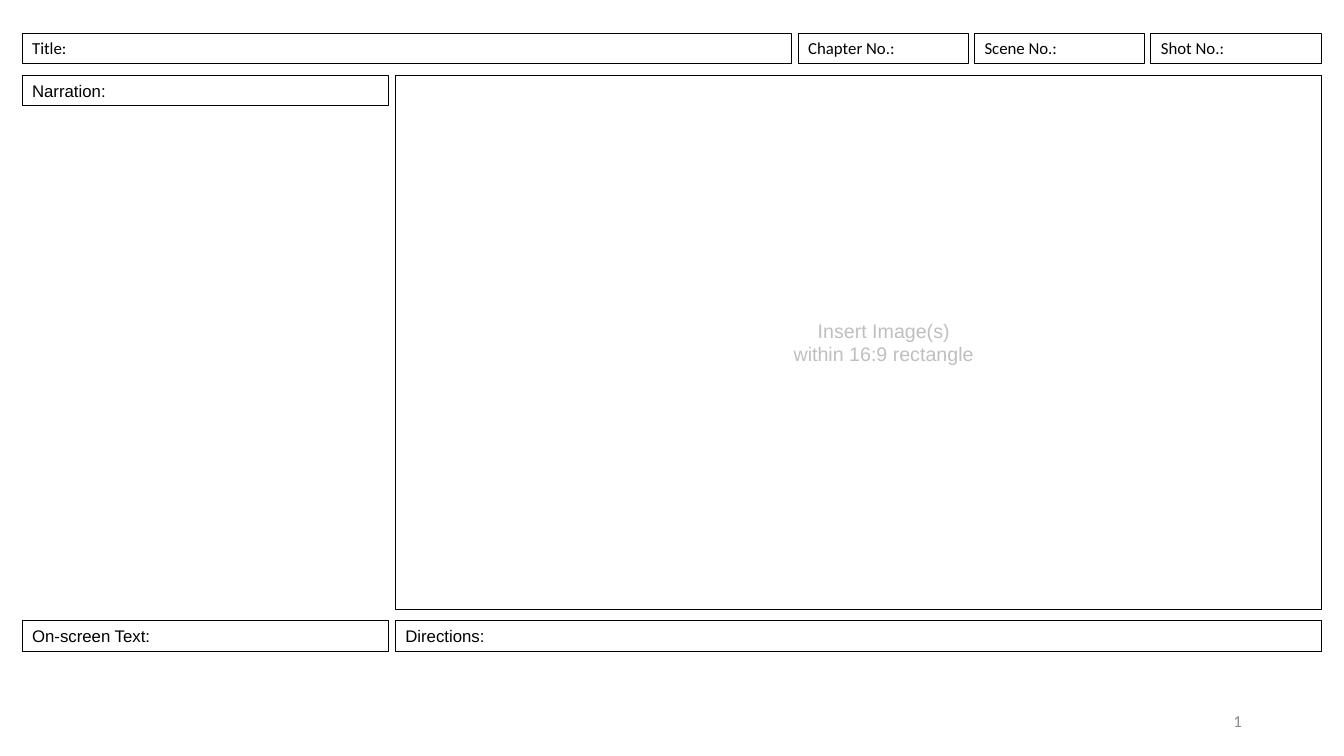
from dataclasses import dataclass

from pptx import Presentation
from pptx import util as u
from pptx.dml.color import RGBColor
from pptx.enum import shapes, text


@dataclass(frozen=True)
class Theme:
    ink: RGBColor = RGBColor(0x00, 0x00, 0x00)
    hint: RGBColor = RGBColor(0xBF, 0xBF, 0xBF)
    number: RGBColor = RGBColor(0x8C, 0x8C, 0x8C)
    head_font: str = "Calibri"
    body_font: str = "Arial"
    label_size: int = 12
    hint_size: int = 14
    border: float = 0.75


@dataclass(frozen=True)
class Area:
    """A rectangle in percent of the slide's width and height."""
    left: float
    top: float
    width: float
    height: float


@dataclass(frozen=True)
class Field:
    label: str
    area: Area
    font: str


@dataclass(frozen=True)
class Note:
    lines: tuple[str, ...]
    area: Area
    font: str
    size: int
    color: RGBColor
    align: text.PP_ALIGN
    anchor: text.MSO_ANCHOR
    grows: bool


THEME = Theme()
WIDTH, HEIGHT = u.Inches(13.333), u.Inches(7.5)

# Columns, in percent of the width
LEFT, RIGHT = 1.65, 98.3
SIDE_WIDTH = 27.23
MAIN_LEFT = 29.42
MAIN_WIDTH = RIGHT - MAIN_LEFT
NUMBER_LEFT, NUMBER_WIDTH, NUMBER_STEP = 59.4, 12.68, 13.12

# Rows, in percent of the height
HEAD_TOP, BODY_TOP, FOOT_TOP = 4.4, 10, 82.13
BAR_HEIGHT = 4
FRAME_HEIGHT = 70.67

FRAME = Area(MAIN_LEFT, BODY_TOP, MAIN_WIDTH, FRAME_HEIGHT)

FIELDS = [
    Field("Title:", Area(LEFT, HEAD_TOP, 57.24, BAR_HEIGHT), THEME.head_font),
    *(Field(label,
            Area(NUMBER_LEFT + i * NUMBER_STEP, HEAD_TOP, NUMBER_WIDTH, BAR_HEIGHT),
            THEME.head_font)
      for i, label in enumerate(("Chapter No.:", "Scene No.:", "Shot No.:"))),
    Field("Narration:", Area(LEFT, BODY_TOP, SIDE_WIDTH, BAR_HEIGHT), THEME.body_font),
    Field("On-screen Text:", Area(LEFT, FOOT_TOP, SIDE_WIDTH, BAR_HEIGHT), THEME.body_font),
    Field("Directions:", Area(MAIN_LEFT, FOOT_TOP, MAIN_WIDTH, BAR_HEIGHT), THEME.body_font),
]

NOTES = [
    Note(("Insert Image(s)", "within 16:9 rectangle"), Area(57.69, 41.47, 16.13, 7.6),
         THEME.body_font, THEME.hint_size, THEME.hint,
         text.PP_ALIGN.CENTER, text.MSO_ANCHOR.TOP, True),
    Note(("1",), Area(70.65, 92.67, 22.5, 5.33),
         THEME.head_font, THEME.label_size, THEME.number,
         text.PP_ALIGN.RIGHT, text.MSO_ANCHOR.MIDDLE, False),
]


def place(area: Area) -> tuple[int, int, int, int]:
    """Turn an area into left, top, width and height on the slide."""
    return (round(WIDTH * area.left / 100), round(HEIGHT * area.top / 100),
            round(WIDTH * area.width / 100), round(HEIGHT * area.height / 100))


def write(box, note: Note) -> None:
    frame = box.text_frame
    frame.text = "\n".join(note.lines)
    frame.word_wrap = True
    frame.vertical_anchor = note.anchor
    frame.auto_size = (text.MSO_AUTO_SIZE.SHAPE_TO_FIT_TEXT if note.grows
                       else text.MSO_AUTO_SIZE.NONE)
    for para in frame.paragraphs:
        para.alignment = note.align
        para.font.name = note.font
        para.font.size = u.Pt(note.size)
        para.font.color.rgb = note.color


def add_outline(page, area: Area):
    box = page.shapes.add_shape(shapes.MSO_SHAPE.RECTANGLE, *place(area))
    box.shadow.inherit = False
    box.fill.background()
    box.line.color.rgb = THEME.ink
    box.line.width = u.Pt(THEME.border)
    return box


def add_field(page, field: Field) -> None:
    write(add_outline(page, field.area),
          Note((field.label,), field.area, field.font, THEME.label_size, THEME.ink,
               text.PP_ALIGN.LEFT, text.MSO_ANCHOR.TOP, True))


def add_note(page, note: Note) -> None:
    write(page.shapes.add_textbox(*place(note.area)), note)


def main() -> None:
    deck = Presentation()
    deck.slide_width, deck.slide_height = WIDTH, HEIGHT
    page = deck.slides.add_slide(deck.slide_layouts[6])
    add_outline(page, FRAME)
    for field in FIELDS:
        add_field(page, field)
    for note in NOTES:
        add_note(page, note)
    deck.save("out.pptx")


if __name__ == "__main__":
    main()
